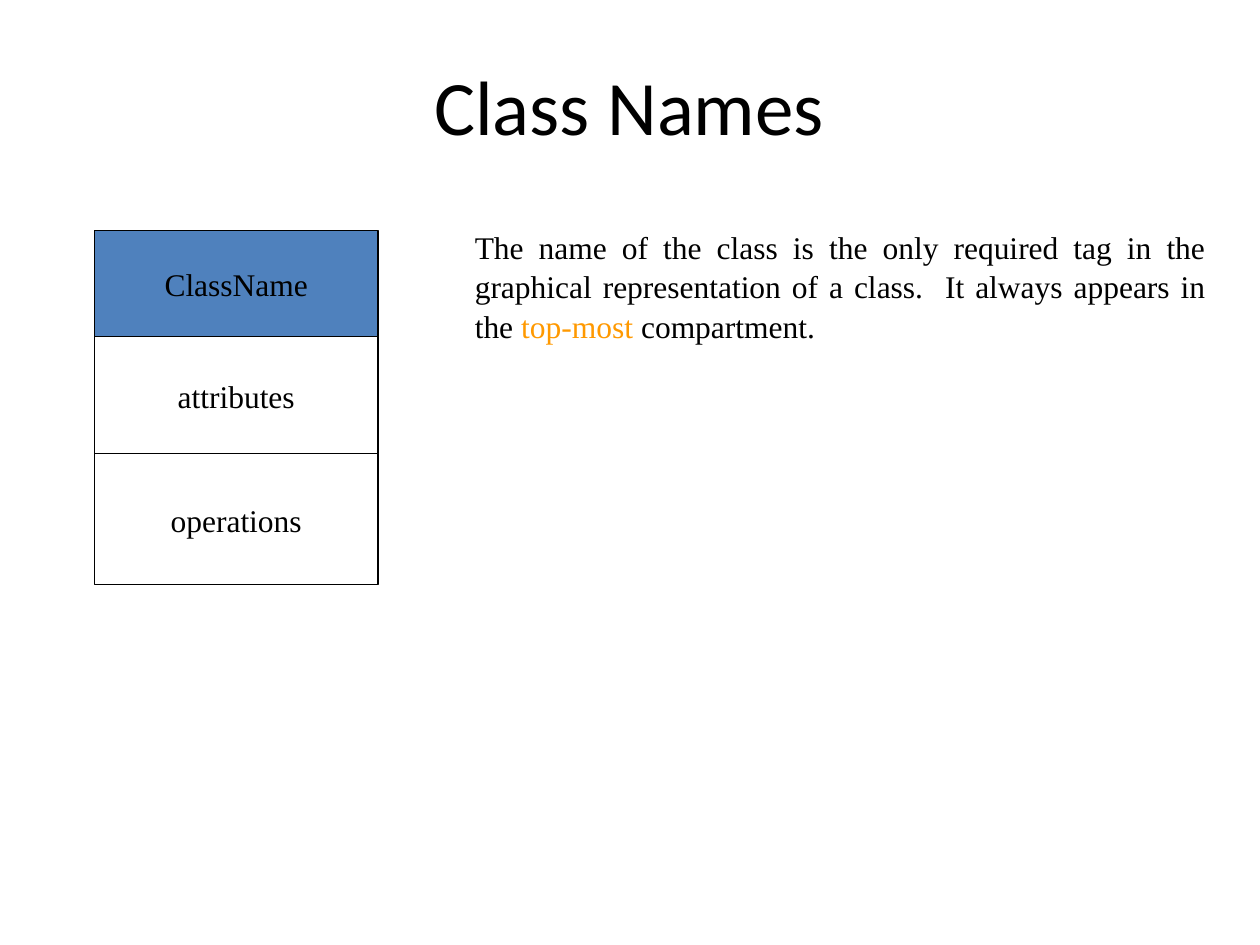
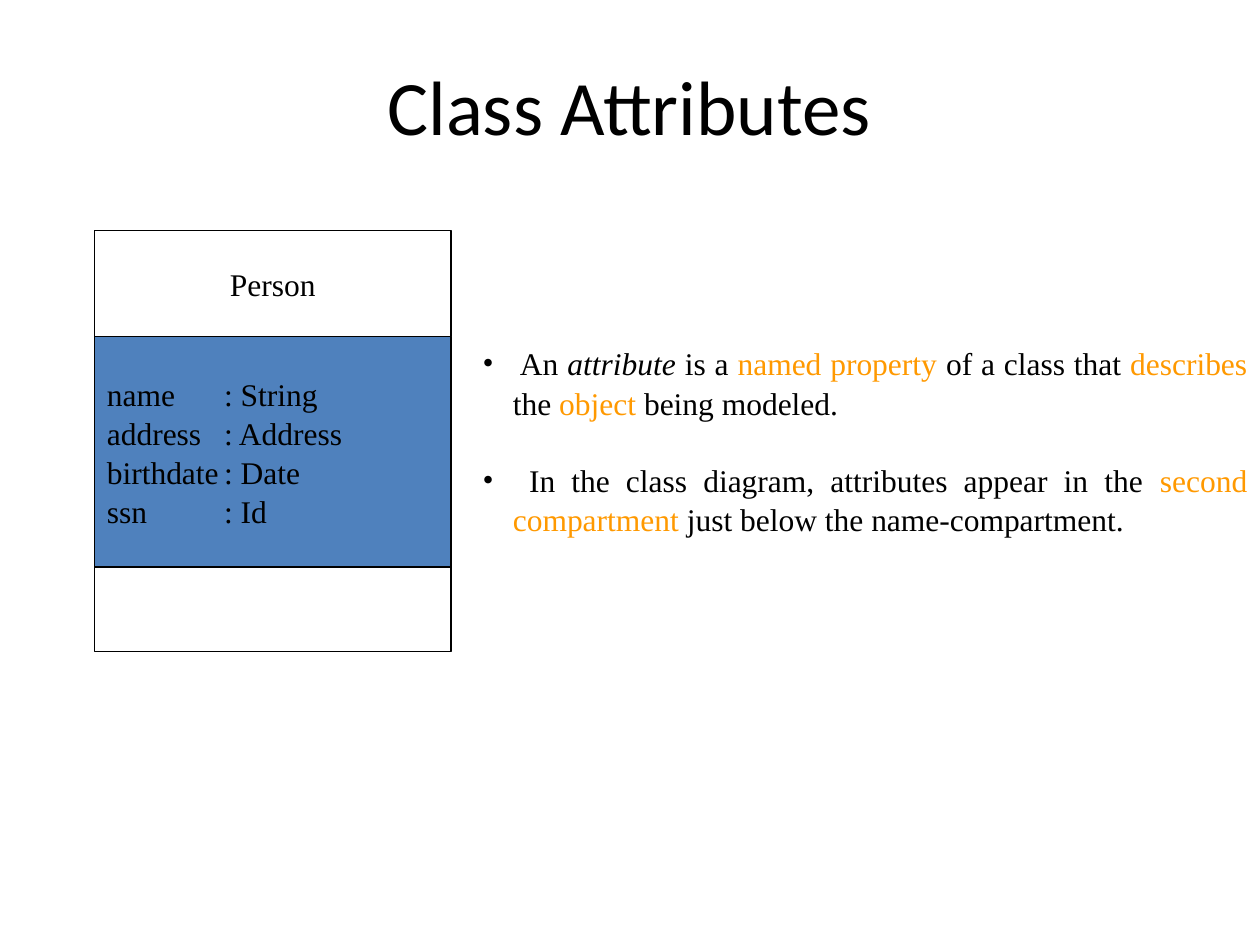
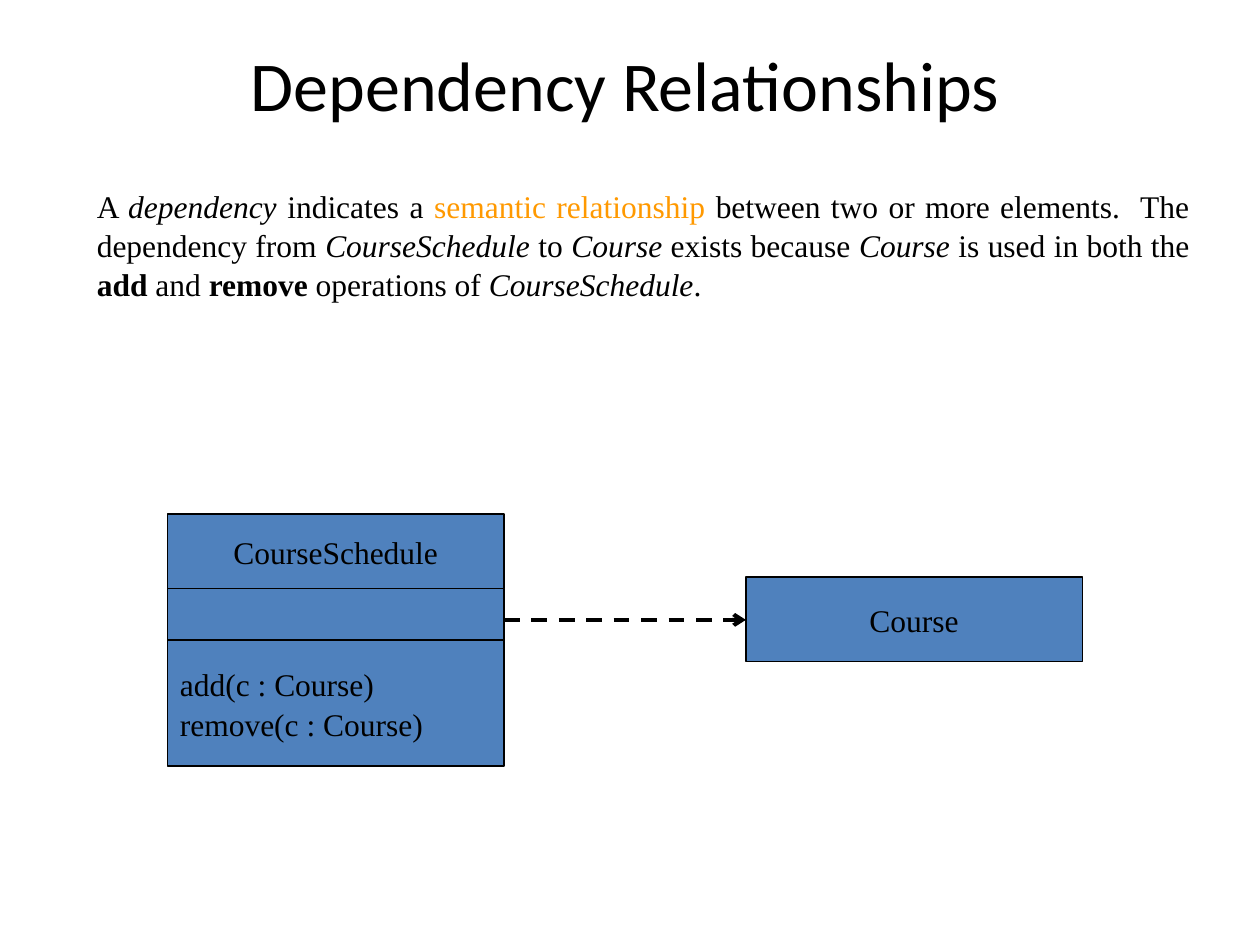
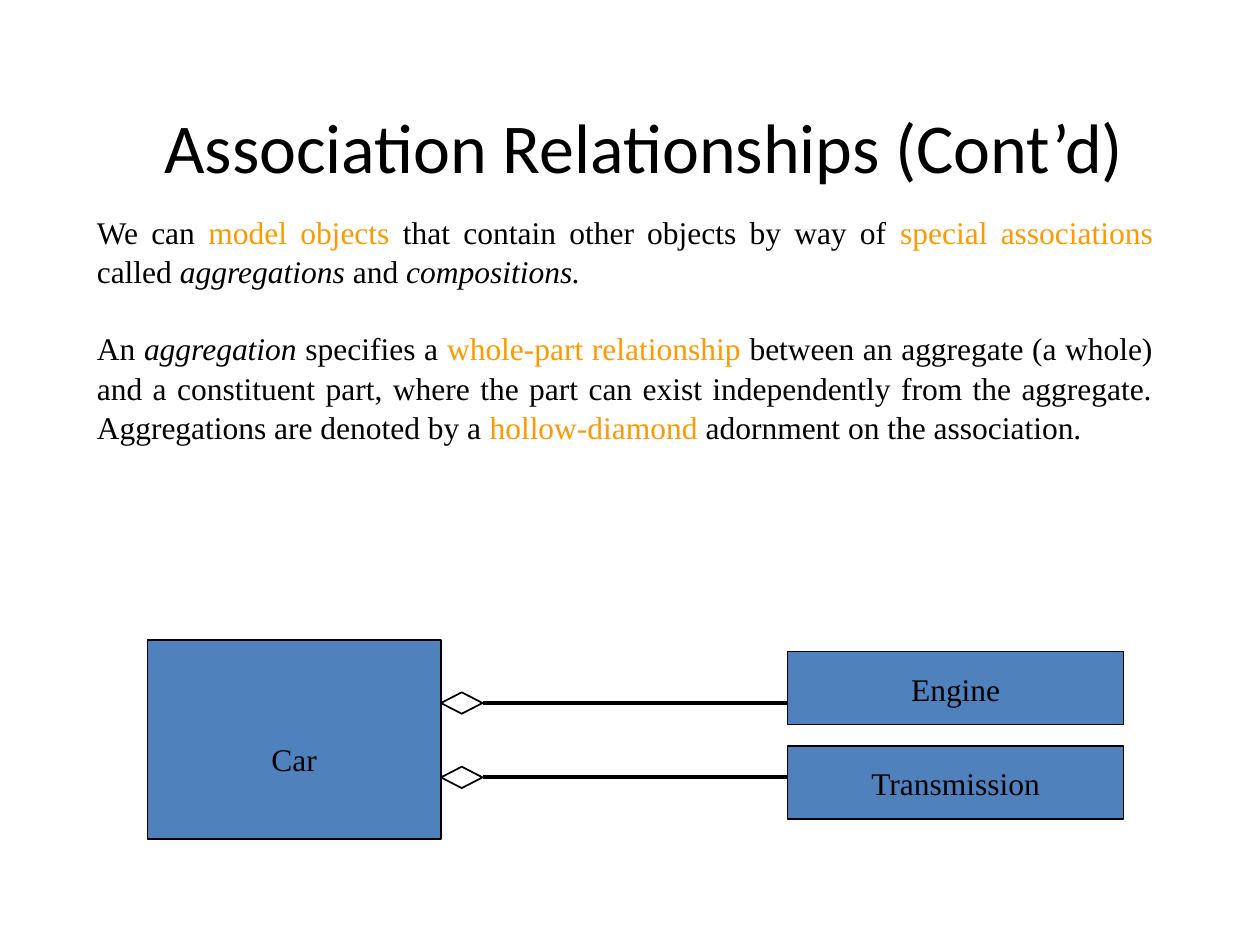
from lxml import etree
from pptx import Presentation
from pptx.dml.color import RGBColor
from pptx.enum.dml import MSO_LINE
from pptx.enum.shapes import MSO_CONNECTOR, MSO_SHAPE
from pptx.enum.text import MSO_ANCHOR, MSO_AUTO_SIZE, PP_ALIGN
from pptx.oxml.ns import qn
from pptx.util import Inches, Pt

RECTANGLE, DIAMOND = MSO_SHAPE.RECTANGLE, MSO_SHAPE.DIAMOND
STRAIGHT = MSO_CONNECTOR.STRAIGHT
DASH = MSO_LINE.DASH
LEFT, CENTER, JUSTIFY = PP_ALIGN.LEFT, PP_ALIGN.CENTER, PP_ALIGN.JUSTIFY
TOP, MIDDLE = MSO_ANCHOR.TOP, MSO_ANCHOR.MIDDLE
NO_FIT = MSO_AUTO_SIZE.NONE

COLORS = {"ink": "000000", "paper": "FFFFFF", "class": "4F81BD", "accent": "FF9900"}
TEXT_FONT = {"name": "Times New Roman", "size": Pt(18)}
SPAN_STYLES = {
    "plain": {},
    "accent": {},
    "italic": {"italic": True},
    "bold": {"bold": True},
}
LINE_SPACING = 1.04
PARAGRAPH_GAP = Pt(21.6)
BLANK_LINE = 0.3
TYPE_TAB = 0.93
TITLE_ONLY, TITLE_AND_LIST = 5, 1


def write_text(frame, paragraphs, align, gap=Pt(0), bullet=False, tab=None):
    """Fill a frame with paragraphs, each a list of (text, style) spans."""
    frame.word_wrap = True
    frame.auto_size = NO_FIT
    for number, spans in enumerate(paragraphs):
        para = frame.paragraphs[0] if number == 0 else frame.add_paragraph()
        settings = {"alignment": align, "line_spacing": LINE_SPACING,
                    "space_before": gap if number else Pt(0), "space_after": Pt(0)}
        for name, value in settings.items():
            setattr(para, name, value)
        properties = para._p.get_or_add_pPr()
        if bullet:
            properties.set("marL", str(Inches(0.24)))
            properties.set("indent", str(-Inches(0.24)))
            color = etree.SubElement(properties, qn("a:buClr"))
            etree.SubElement(color, qn("a:srgbClr"), val=COLORS["ink"])
            etree.SubElement(properties, qn("a:buFont"), typeface="Times New Roman")
            etree.SubElement(properties, qn("a:buChar"), char="•")
        if tab:
            stops = etree.SubElement(properties, qn("a:tabLst"))
            etree.SubElement(stops, qn("a:tab"), pos=str(Inches(tab)), algn="l")
        for text, style in spans:
            span = para.add_run()
            span.text = text
            for name, value in {**TEXT_FONT, **SPAN_STYLES[style]}.items():
                setattr(span.font, name, value)
            span.font.color.rgb = RGBColor.from_string(
                COLORS["accent" if style == "accent" else "ink"])


def draw_shape(page, kind, place, fill, width):
    """Add an outlined shape without shadow."""
    shape = page.shapes.add_shape(kind, *map(Inches, place))
    shape.shadow.inherit = False
    shape.fill.solid()
    shape.fill.fore_color.rgb = RGBColor.from_string(COLORS[fill])
    shape.line.color.rgb = RGBColor.from_string(COLORS["ink"])
    shape.line.width = Pt(width)
    return shape


# Each class is (left, top, width, compartments);
# a compartment is (height, fill, lines, alignment, blank space above the text).
# Each link is (start x, end x, y, ending).
PAGES = [
    {
        "title": ("Class Names", 44, (0.73, 0.33, 8.53, 1)),
        "text_place": (3.67, 1.75, 6, 1),
        "text": [[
            ("The name of the class is the only required tag in the graphical "
             "representation of a class.  It always appears in the ", "plain"),
            ("top-most ", "accent"), ("compartment.", "plain"),
        ]],
        "classes": [(0.75, 1.83, 2.25, [
            (0.84, "class", ["ClassName"], CENTER, 0),
            (0.93, "paper", ["attributes"], CENTER, 0),
            (1.04, "paper", ["operations"], CENTER, 0),
        ])],
    },
    {
        "title": ("Class Attributes", 44, (0.73, 0.33, 8.53, 1)),
        "list": True,
        "text_place": (3.73, 2.67, 6.27, 1.6),
        "text": [[
            (" An ", "plain"), ("attribute", "italic"), (" is a ", "plain"),
            ("named property ", "accent"), ("of a class that ", "plain"),
            ("describes", "accent"), (" the ", "plain"), ("object", "accent"),
            (" being modeled.", "plain"),
        ], [
            (" In the class diagram, attributes appear in the ", "plain"),
            ("second compartment ", "accent"),
            ("just below the name-compartment.", "plain"),
        ]],
        "classes": [(0.75, 1.83, 2.83, [
            (0.84, "paper", ["Person"], CENTER, 0),
            (1.83, "class", ["name\t: String", "address\t: Address",
                             "birthdate\t: Date", "ssn\t: Id"], LEFT, 0),
            (0.67, "paper", [], LEFT, 0),
        ])],
    },
    {
        "title": ("Dependency Relationships", 40, (0.89, 0.43, 8.14, 0.47)),
        "text_place": (0.67, 1.42, 8.87, 1.3),
        "text": [[
            ("A ", "plain"), ("dependency", "italic"), (" indicates a ", "plain"),
            ("semantic relationship ", "accent"),
            ("between two or more elements.  The dependency from ", "plain"),
            ("CourseSchedule", "italic"), (" to ", "plain"), ("Course", "italic"),
            (" exists because ", "plain"), ("Course", "italic"),
            (" is used in both the ", "plain"), ("add", "bold"), (" and ", "plain"),
            ("remove", "bold"), (" operations of ", "plain"),
            ("CourseSchedule", "italic"), (".", "plain"),
        ]],
        "classes": [
            (1.33, 4.08, 2.67, [
                (0.59, "class", ["CourseSchedule"], CENTER, 0),
                (0.41, "class", [], LEFT, 0),
                (1, "class", ["add(c : Course)", "remove(c : Course)"], LEFT, 0),
            ]),
            (5.92, 4.58, 2.67, [(0.67, "class", ["Course"], CENTER, 0)]),
        ],
        "links": [(4, 5.92, 4.92, "arrow")],
    },
    {
        "title": ("Association Relationships (Cont’d)", 40, (0.92, 0.92, 8.38, 0.47)),
        "text_place": (0.67, 1.33, 8.58, 2.2),
        "blank_above": BLANK_LINE,
        "text": [[
            ("We can ", "plain"), ("model objects", "accent"),
            (" that contain other objects by way of ", "plain"),
            ("special associations ", "accent"), ("called ", "plain"),
            ("aggregations", "italic"), (" and ", "plain"), ("compositions.", "italic"),
        ], [
            ("An ", "plain"), ("aggregation", "italic"), (" specifies a ", "plain"),
            ("whole-part relationship ", "accent"),
            ("between an aggregate (a whole) and a constituent part, where the part "
             "can exist independently from the aggregate. Aggregations are denoted "
             "by a ", "plain"),
            ("hollow-diamond", "accent"), (" adornment on the association.", "plain"),
        ]],
        "classes": [
            (1.17, 5.08, 2.33, [(1.58, "class", ["Car"], CENTER, BLANK_LINE)]),
            (6.25, 5.17, 2.67, [(0.58, "class", ["Engine"], CENTER, 0)]),
            (6.25, 5.92, 2.67, [(0.58, "class", ["Transmission"], CENTER, 0)]),
        ],
        "links": [(3.5, 6.25, 5.58, "diamond"), (3.5, 6.25, 6.17, "diamond")],
    },
]
DIAMOND_WIDTH, DIAMOND_HEIGHT = 0.33, 0.17

deck = Presentation()
deck.slide_width, deck.slide_height = Inches(10), Inches(7.5)

for content in PAGES:
    is_list = content.get("list", False)
    layout = deck.slide_layouts[TITLE_AND_LIST if is_list else TITLE_ONLY]
    page = deck.slides.add_slide(layout)

    # Title
    words, size, place = content["title"]
    title = page.shapes.title
    title.left, title.top, title.width, title.height = map(Inches, place)
    title.text_frame.text = words
    title.text_frame.auto_size = NO_FIT
    title.text_frame.vertical_anchor = MIDDLE
    title_para = title.text_frame.paragraphs[0]
    title_para.alignment = CENTER
    for name, value in {"name": "Calibri", "size": Pt(size)}.items():
        setattr(title_para.runs[0].font, name, value)
    title_para.runs[0].font.color.rgb = RGBColor.from_string(COLORS["ink"])

    # Explanation
    place = [Inches(length) for length in content["text_place"]]
    if is_list:
        box = page.placeholders[1]
        box.left, box.top, box.width, box.height = place
    else:
        box = page.shapes.add_textbox(*place)
    box.text_frame.vertical_anchor = TOP
    box.text_frame.margin_top = Inches(0.05 + content.get("blank_above", 0))
    write_text(box.text_frame, content["text"], JUSTIFY, PARAGRAPH_GAP, bullet=is_list)

    # Classes, compartments stacked from the top
    for left, top, width, compartments in content["classes"]:
        for height, fill, lines, align, blank in compartments:
            compartment = draw_shape(page, RECTANGLE, (left, top, width, height), fill, 0.75)
            top += height
            if lines:
                frame = compartment.text_frame
                frame.vertical_anchor = MIDDLE
                frame.margin_top = Inches(0.05 + blank)
                tab = TYPE_TAB if "\t" in lines[0] else None
                write_text(frame, [[(line, "plain")] for line in lines], align, tab=tab)

    # Relationships
    for start, end, y, ending in content.get("links", []):
        if ending == "diamond":
            draw_shape(page, DIAMOND, (start, y - DIAMOND_HEIGHT / 2,
                                       DIAMOND_WIDTH, DIAMOND_HEIGHT), "paper", 1)
            start += DIAMOND_WIDTH
        link = page.shapes.add_connector(
            STRAIGHT, Inches(start), Inches(y), Inches(end), Inches(y))
        link.line.color.rgb = RGBColor.from_string(COLORS["ink"])
        link.line.width = Pt(2.25)
        if ending == "arrow":
            link.line.dash_style = DASH
            etree.SubElement(link.line._get_or_add_ln(), qn("a:tailEnd"), type="arrow")
        etree.SubElement(link._element.spPr, qn("a:effectLst"))

deck.save("out.pptx")
